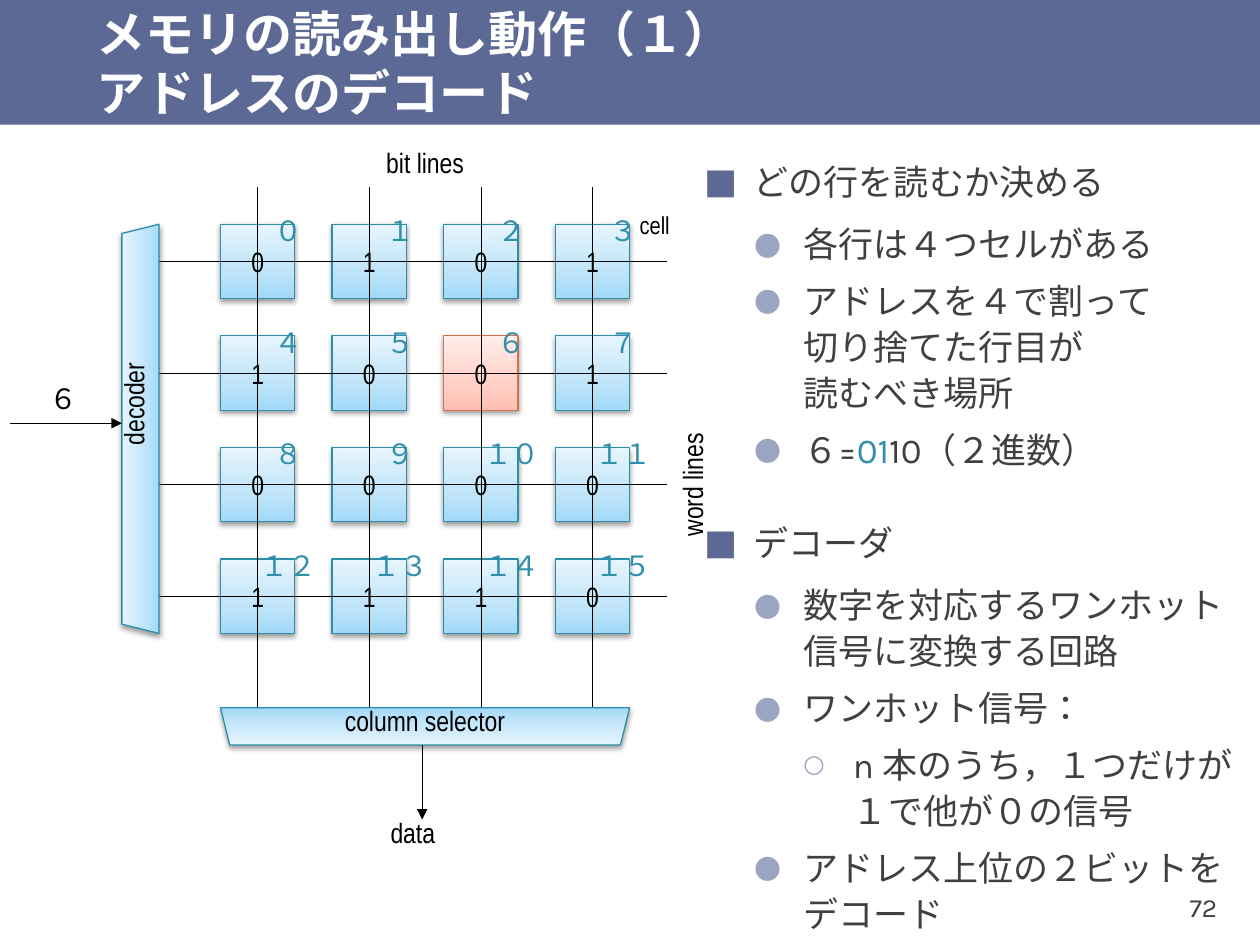
from dataclasses import dataclass
from lxml.etree import SubElement
from pptx import Presentation
from pptx.dml.color import RGBColor
from pptx.enum.lang import MSO_LANGUAGE_ID
from pptx.enum.shapes import MSO_CONNECTOR, MSO_SHAPE
from pptx.enum.text import MSO_ANCHOR, PP_ALIGN
from pptx.oxml.ns import qn
from pptx.util import Cm, Inches, Pt


@dataclass(frozen=True)
class Theme:
    band: str = "5C6994"
    white: str = "FFFFFF"
    ink: str = "404040"
    black: str = "000000"
    teal: str = "328FAC"
    dot: str = "9BA4C1"
    blue: tuple = ("A2D9F7", "BFE4F8", "E6F5FD", "2E8DAB")
    red: tuple = ("FFBEB0", "FFD0C7", "FFEDEA", "D7714D")
    main: str = "Karla"
    thin: str = "Arial Narrow"
    head: int = 28
    body: int = 20
    label: int = 16
    small: int = 14
    page: int = 15


T = Theme()
WIDE, HIGH = 10, 7.5
UNIT = 0.75 / 2.54       # grid step; a cell is 2 steps, the pitch is 3
LEFT, TOP = 1.75, 1.78   # corner of the first cell
SIDE, STEP = 2, 3
BITS = ("0101", "1001", "0000", "1110")
HOT = 6
DIGITS = "０１２３４５６７８９"

# Bullet level: sign, colour, size in percent, space before, space after
LEVELS = (("■", T.band, 100, 24, 6), ("●", T.dot, 90, 3, 3),
          ("○", T.dot, 70, 3, 3))
POINTS = (
    (0, "どの行を読むか決める"),
    (1, "各行は４つセルがある"),
    (1, "アドレスを４で割って\n切り捨てた行目が\n読むべき場所"),
    (1, "６=", "01", "10（２進数）"),
    (0, "デコーダ"),
    (1, "数字を対応するワンホット信号に変換する回路"),
    (1, "ワンホット信号："),
    (2, "n 本のうち，１つだけが１で他が０の信号"),
    (1, "アドレス上位の２ビットを\nデコード"),
)


def grid(col, row, *size):
    """Turn grid steps into a place and, if given, a size."""
    spot = (LEFT + col * UNIT, TOP + row * UNIT)
    return [Inches(v) for v in (*spot, *(s * UNIT for s in size))]


def share(x, y, w, h):
    """Turn shares of the slide into a place and a size."""
    return [Inches(v) for v in (x * WIDE, y * HIGH, w * WIDE, h * HIGH)]


def node(top, tag, **attrs):
    return SubElement(top, qn("a:" + tag), {k: str(v) for k, v in attrs.items()})


def put(par, text, size=T.label, font=T.thin, color=T.black, bold=False,
        align=None):
    if align is not None:
        par.alignment = align
    for i, part in enumerate(text.split("\n")):
        if i:
            par.add_line_break()
        run = par.add_run()
        run.text = part
        run.font.size, run.font.name, run.font.bold = Pt(size), font, bold
        run.font.language_id = MSO_LANGUAGE_ID.JAPANESE
        run.font.color.rgb = RGBColor.from_string(color)


def box(slide, area, wrap=False, anchor=MSO_ANCHOR.MIDDLE, turn=0):
    item = slide.shapes.add_textbox(*area)
    item.rotation = turn
    frame = item.text_frame
    frame.word_wrap, frame.vertical_anchor = wrap, anchor
    return frame


def label(slide, text, area, turn=0, **fmt):
    frame = box(slide, area, turn=turn)
    frame.margin_left = frame.margin_right = 0
    put(frame.paragraphs[0], text, align=PP_ALIGN.CENTER, **fmt)


def block(slide, kind, area, tones=T.blue, text="", turn=0, flip=False):
    """Shape with a three-stop gradient and a soft shadow."""
    item = slide.shapes.add_shape(kind, *area)
    item.rotation = turn
    props = item._element.spPr
    if flip:
        props.xfrm.set("flipV", "1")
    fill = node(props, "gradFill", rotWithShape=1)
    stops = node(fill, "gsLst")
    for pos, tone in zip((0, 35, 100), tones):
        node(node(stops, "gs", pos=pos * 1000), "srgbClr", val=tone)
    node(fill, "lin", ang=270 * 60000, scaled=0)
    item.line.color.rgb = RGBColor.from_string(tones[3])
    item.line.width = Pt(0.75)
    shade = node(node(props, "effectLst"), "outerShdw", blurRad=Pt(3.1),
                 dist=Pt(1.6), dir=90 * 60000, rotWithShape=0)
    node(node(shade, "srgbClr", val=T.black), "alpha", val=38000)
    if text:
        frame = item.text_frame
        frame.vertical_anchor = MSO_ANCHOR.MIDDLE
        put(frame.paragraphs[0], text, align=PP_ALIGN.CENTER)


def wire(slide, start, end, arrow=False):
    item = slide.shapes.add_connector(
        MSO_CONNECTOR.STRAIGHT, *grid(*start), *grid(*end))
    item.line.color.rgb = RGBColor.from_string(T.black)
    item.line.width = Pt(0.25)
    if arrow:
        node(item.line._get_or_add_ln(), "tailEnd", type="triangle")
    node(item._element.spPr, "effectLst")


def bullet(par, level):
    sign, color, size, before, after = LEVELS[level]
    par.level, par.line_spacing = level, 1.1
    par.space_before, par.space_after = Pt(before), Pt(after)
    props = par._p.get_or_add_pPr()
    hang = Cm(1)
    props.set("marL", str(hang * (level + 1)))
    props.set("indent", str(-hang))
    node(node(props, "buClr"), "srgbClr", val=color)
    node(props, "buSzPct", val=size * 1000)
    node(props, "buFont", typeface=T.main)
    node(props, "buChar", char=sign)


def header(slide):
    band = slide.shapes.add_shape(MSO_SHAPE.RECTANGLE, *share(0, 0, 1, 0.132))
    band.shadow.inherit = False
    band.fill.solid()
    band.fill.fore_color.rgb = RGBColor.from_string(T.band)
    band.line.fill.background()
    page = box(slide, share(0.894, 0.92, 0.079, 0.08))
    page.margin_left = page.margin_right = Inches(0.07)
    put(page.paragraphs[0], "72", size=T.page, font=T.main, color=T.ink,
        align=PP_ALIGN.RIGHT)
    title = box(slide, share(0.067, 0, 0.933, 0.132), wrap=True)
    title.margin_top = title.margin_bottom = 0
    put(title.paragraphs[0], "メモリの読み出し動作（１）\nアドレスのデコード",
        size=T.head, font=T.main, color=T.white, bold=True)


def notes(slide):
    frame = box(slide, share(0.549, 0.159, 0.451, 0.775), wrap=True,
                anchor=MSO_ANCHOR.TOP)
    for i, (level, *parts) in enumerate(POINTS):
        par = frame.add_paragraph() if i else frame.paragraphs[0]
        bullet(par, level)
        for part in parts:
            put(par, part, size=T.body, font=T.main,
                color=T.teal if part == "01" else T.ink)


def array(slide):
    count = len(BITS)
    # Cells, with a word line over each row
    for r, row in enumerate(BITS):
        for c, bit in enumerate(row):
            tones = T.red if r * count + c == HOT else T.blue
            block(slide, MSO_SHAPE.RECTANGLE,
                  grid(c * STEP, r * STEP, SIDE, SIDE), tones, bit)
        wire(slide, (-1.65, r * STEP + 1), (12, r * STEP + 1))
    # Bit lines
    for c in range(count):
        wire(slide, (c * STEP + 1, 13), (c * STEP + 1, -1))
    # Addresses
    for n in range(count * count):
        r, c = divmod(n, count)
        label(slide, "".join(DIGITS[int(d)] for d in str(n)),
              grid(c * STEP + 1, r * STEP - 0.67, 1.67, 1.67), color=T.teal)


def ports(slide):
    # Column selector and its output
    block(slide, MSO_SHAPE.TRAPEZOID, grid(0, 13, 11, 1), flip=True)
    wire(slide, (5.42, 14), (5.42, 16), arrow=True)
    # Decoder and its input
    block(slide, MSO_SHAPE.TRAPEZOID, grid(-7.65, 5, 11, 1), turn=90, flip=True)
    wire(slide, (-5.65, 5.35), (-2.65, 5.35), arrow=True)
    # Names
    label(slide, "word lines", grid(8.67, 6, 8, 2), turn=270)
    label(slide, "cell", grid(9.67, -1, 4, 2), size=T.small)
    label(slide, "bit lines", grid(1, -2.67, 9, 2))
    label(slide, "column selector", grid(1, 12.33, 9, 2))
    label(slide, "decoder", grid(-6.85, 3.83, 9, 2), turn=270)
    label(slide, "６", grid(-6.33, 3.67, 4.24, 2))
    label(slide, "data", grid(0.67, 15.33, 9, 2))


def main():
    deck = Presentation()
    deck.slide_width, deck.slide_height = Inches(WIDE), Inches(HIGH)
    slide = deck.slides.add_slide(deck.slide_layouts[6])
    header(slide)
    notes(slide)
    array(slide)
    ports(slide)
    deck.save("out.pptx")


if __name__ == "__main__":
    main()
